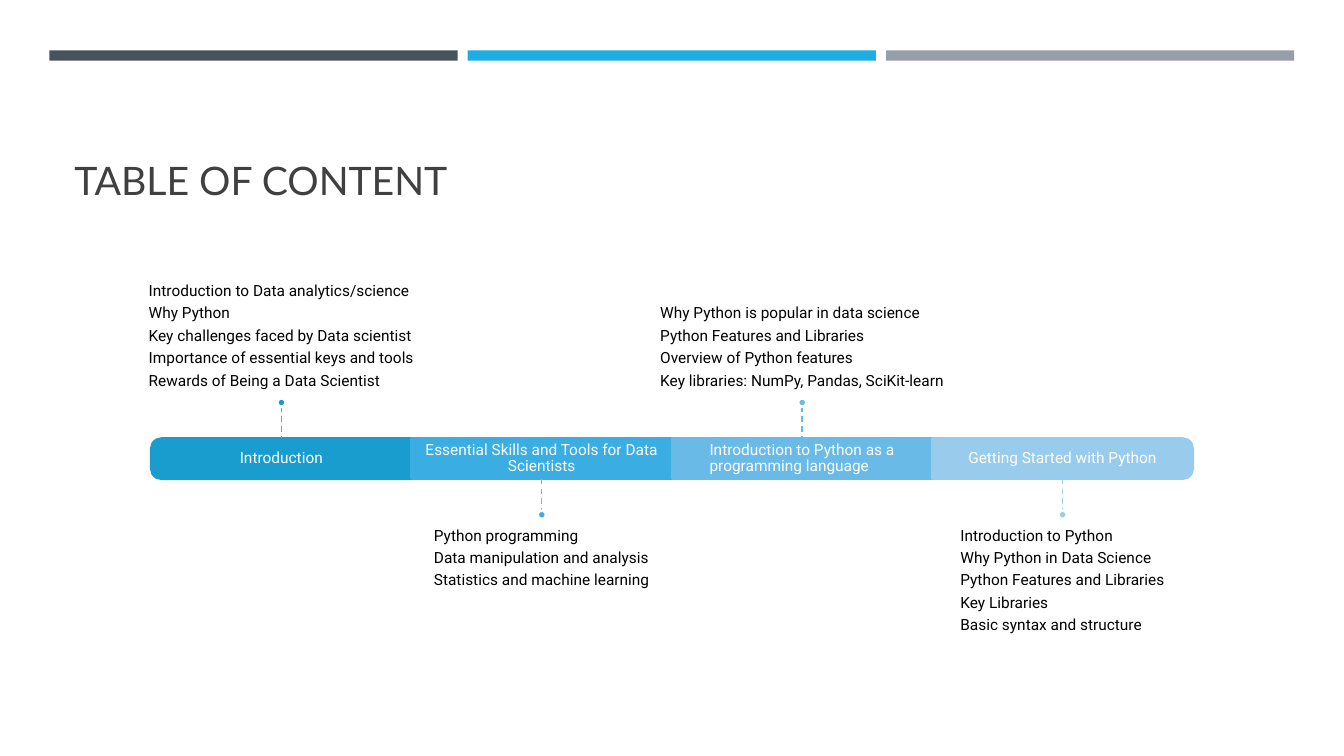
"""Builds a table-of-contents slide with a four-part timeline."""
from pptx import Presentation
from pptx.dml.color import RGBColor
from pptx.enum.dml import MSO_LINE
from pptx.enum.shapes import MSO_CONNECTOR, MSO_SHAPE
from pptx.enum.text import MSO_ANCHOR, PP_ALIGN
from pptx.oxml.ns import qn
from pptx.util import Pt
from lxml import etree

WHITE = RGBColor(0xFF, 0xFF, 0xFF)
BLACK = RGBColor(0, 0, 0)
TITLE_GREY = RGBColor(0x40, 0x40, 0x40)
SLATE = RGBColor(0x46, 0x53, 0x59)
CYAN = RGBColor(0x1C, 0xAD, 0xE4)
GREY = RGBColor(0x96, 0x9F, 0xA7)
BLUE_1 = RGBColor(0x19, 0x9D, 0xCF)
BLUE_2 = RGBColor(0x3A, 0xAD, 0xE3)
BLUE_3 = RGBColor(0x6A, 0xBA, 0xE7)
BLUE_4 = RGBColor(0x99, 0xCB, 0xEC)
STEM_1 = RGBColor(0x36, 0xB3, 0xE9)
STEM_2 = RGBColor(0x6D, 0xBC, 0xE8)
STEM_3 = RGBColor(0x5A, 0xBE, 0xEF)
STEM_4 = RGBColor(0x98, 0xCB, 0xEC)

TITLE = "TABLE OF CONTENT"
STRIPES = [SLATE, CYAN, GREY]
SECTIONS = [
    ("Introduction", PP_ALIGN.CENTER, BLUE_1, STEM_1, [
        "Introduction to Data analytics/science",
        "Why Python",
        "Key challenges faced by Data scientist",
        "Importance of essential keys and tools",
        "Rewards of Being a Data Scientist"]),
    ("Essential Skills and Tools for Data Scientists", PP_ALIGN.CENTER, BLUE_2, STEM_2, [
        "Python programming",
        "Data manipulation and analysis",
        "Statistics and machine learning"]),
    ("Introduction to Python as a programming language", PP_ALIGN.LEFT, BLUE_3, STEM_3, [
        "Why Python is popular in data science",
        "Python Features and Libraries",
        "Overview of Python features",
        "Key libraries: NumPy, Pandas, SciKit-learn"]),
    ("Getting Started with Python", PP_ALIGN.LEFT, BLUE_4, STEM_4, [
        "Introduction to Python",
        "Why Python in Data Science",
        "Python Features and Libraries",
        "Key Libraries",
        "Basic syntax and structure"]),
]

STRIPE_LEFT, STRIPE_TOP, STRIPE_WIDTH, STRIPE_HEIGHT, STRIPE_PITCH = 35.3, 36, 291.6, 7.4, 298.8
BAR_LEFT, BAR_TOP, BAR_WIDTH, BAR_HEIGHT = 108, 313.2, 186, 28.8
STEM_LENGTH, DOT = 22.8, 5.8
NOTE_WIDTH, NOTE_HEIGHT = 310.4, 100
INSET = 6.5


def add_filled(slide, kind, left, top, width, height, fill, line=None):
    part = slide.shapes.add_shape(kind, Pt(left), Pt(top), Pt(width), Pt(height))
    part.shadow.inherit = False
    part.fill.solid()
    part.fill.fore_color.rgb = fill
    if line is None:
        part.line.fill.background()
    else:
        part.line.color.rgb = line
        part.line.width = Pt(1.75)
    return part


def add_text(slide, box, text, font, size, color, anchor, insets,
             align=PP_ALIGN.LEFT, timeline=True):
    words = slide.shapes.add_textbox(*map(Pt, box))
    frame = words.text_frame
    frame.text = text
    frame.word_wrap = True
    frame.vertical_anchor = anchor
    frame.margin_left, frame.margin_top, frame.margin_right, frame.margin_bottom = map(Pt, insets)
    if timeline:
        words.element.txBody.bodyPr.set("anchorCtr", "1")
    for paragraph in frame.paragraphs:
        paragraph.alignment = align
        if timeline:
            paragraph.line_spacing = 0.9
            paragraph.space_after = Pt(4.1)
        for run in paragraph.runs:
            run.font.name = font
            run.font.size = Pt(size)
            run.font.color.rgb = color


def add_bar(slide, index, fill):
    left = BAR_LEFT + index * BAR_WIDTH
    turn = {0: 270, len(SECTIONS) - 1: 90}.get(index)
    if turn is None:
        add_filled(slide, MSO_SHAPE.RECTANGLE, left, BAR_TOP, BAR_WIDTH, BAR_HEIGHT, fill, fill)
        return
    shift = (BAR_WIDTH - BAR_HEIGHT) / 2
    end = add_filled(slide, MSO_SHAPE.ROUND_2_SAME_RECTANGLE, left + shift, BAR_TOP - shift,
                     BAR_HEIGHT, BAR_WIDTH, fill, fill)
    end.adjustments[0] = 0.25
    end.rotation = turn


def add_stem(slide, center, start, end, color):
    stem = slide.shapes.add_connector(MSO_CONNECTOR.STRAIGHT, Pt(center), Pt(start),
                                      Pt(center), Pt(end))
    stem.line.color.rgb = color
    stem.line.width = Pt(1)
    stem.line.dash_style = MSO_LINE.DASH
    etree.SubElement(stem.element.spPr, qn("a:effectLst"))


def add_section(slide, index, section):
    label, align, fill, stem_color, topics = section
    left = BAR_LEFT + index * BAR_WIDTH
    center = left + BAR_WIDTH / 2
    if index % 2 == 0:
        stem_start, stem_end = BAR_TOP - STEM_LENGTH, BAR_TOP
        dot_top = stem_start - DOT
        note_top = dot_top - NOTE_HEIGHT
        anchor, insets = MSO_ANCHOR.BOTTOM, (0, 0, 0, INSET)
    else:
        stem_start = BAR_TOP + BAR_HEIGHT
        stem_end = dot_top = stem_start + STEM_LENGTH
        note_top = dot_top + DOT
        anchor, insets = MSO_ANCHOR.TOP, (0, INSET, 0, 0)
    add_bar(slide, index, fill)
    add_text(slide, (left, BAR_TOP, BAR_WIDTH, BAR_HEIGHT), label, "Roboto", 11, WHITE,
             MSO_ANCHOR.MIDDLE, [INSET] * 4, align)
    add_text(slide, (center - NOTE_WIDTH / 2, note_top, NOTE_WIDTH, NOTE_HEIGHT),
             "\n".join(topics), "Roboto", 11, BLACK, anchor, insets)
    add_stem(slide, center, stem_start, stem_end, stem_color)
    add_filled(slide, MSO_SHAPE.OVAL, center - DOT / 2, dot_top, DOT, DOT, fill, WHITE)


def main():
    deck = Presentation()
    deck.slide_width, deck.slide_height = Pt(960), Pt(540)
    slide = deck.slides.add_slide(deck.slide_layouts[6])
    for index, color in enumerate(STRIPES):
        add_filled(slide, MSO_SHAPE.RECTANGLE, STRIPE_LEFT + index * STRIPE_PITCH, STRIPE_TOP,
                   STRIPE_WIDTH, STRIPE_HEIGHT, color)
    add_text(slide, (46, 55.4, 868.3, 93.6), TITLE, "Lato", 28, TITLE_GREY,
             MSO_ANCHOR.BOTTOM, (7.2, 3.6, 7.2, 3.6), timeline=False)
    for index, section in enumerate(SECTIONS):
        add_section(slide, index, section)
    deck.save("out.pptx")


if __name__ == "__main__":
    main()
